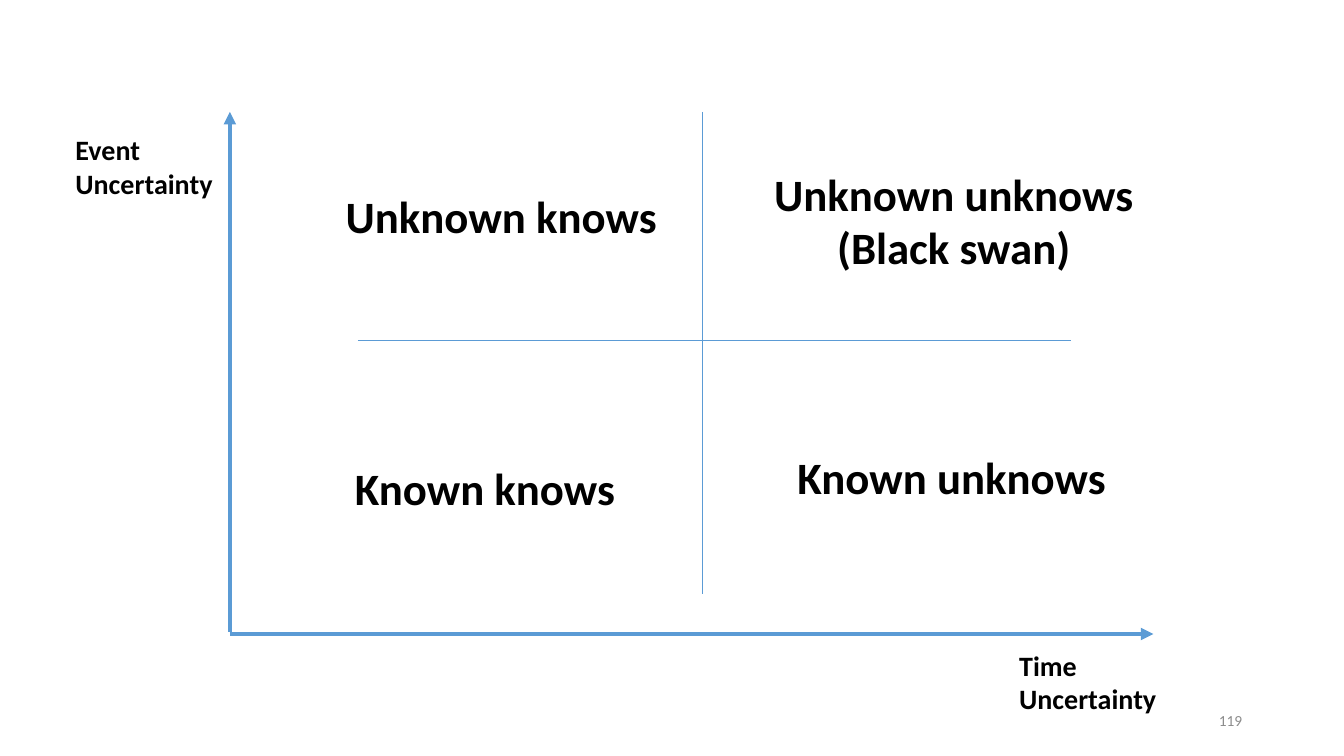
import lxml.etree
import pptx
import pptx.dml.color
import pptx.enum.shapes
import pptx.enum.text
import pptx.oxml.ns
import pptx.util

Inches = pptx.util.Inches
ALIGN = pptx.enum.text.PP_ALIGN
ANCHOR = pptx.enum.text.MSO_ANCHOR
AUTO_SIZE = pptx.enum.text.MSO_AUTO_SIZE

BLUE = pptx.dml.color.RGBColor(0x5B, 0x9B, 0xD5)
BLACK = pptx.dml.color.RGBColor(0, 0, 0)
GREY = pptx.dml.color.RGBColor(0x8C, 0x8C, 0x8C)


def add_text(page, text, left, top, width, height, size, color=BLACK, bold=True,
             aligns=(ALIGN.LEFT,), anchor=ANCHOR.TOP, wrap=False):
    """Each line feed starts a paragraph; a vertical tab breaks the line."""
    box = page.shapes.add_textbox(Inches(left), Inches(top), Inches(width), Inches(height))
    frame = box.text_frame
    frame.word_wrap = wrap
    frame.auto_size = AUTO_SIZE.NONE if wrap else AUTO_SIZE.SHAPE_TO_FIT_TEXT
    frame.vertical_anchor = anchor
    frame.text = text
    for para, align in zip(frame.paragraphs, aligns):
        para.alignment = align
        for span in para.runs:
            span.font.name = "Calibri"
            span.font.size = pptx.util.Pt(size)
            span.font.bold = bold
            span.font.color.rgb = color


def add_line(page, start, end, weight, arrow=False):
    line = page.shapes.add_connector(
        pptx.enum.shapes.MSO_CONNECTOR.STRAIGHT, *map(Inches, start + end))
    line.line.color.rgb = BLUE
    line.line.width = pptx.util.Pt(weight)
    if arrow:
        lxml.etree.SubElement(line.line._get_or_add_ln(),
                              pptx.oxml.ns.qn("a:tailEnd"), type="triangle")
    lxml.etree.SubElement(line._element.spPr, pptx.oxml.ns.qn("a:effectLst"))


def add_axes(page, left, top, width, height):
    bottom = top + height
    add_line(page, (left, bottom), (left + width, bottom), 3, arrow=True)
    add_line(page, (left, bottom - 0.02), (left, top), 3, arrow=True)
    # Axis titles
    add_text(page, "Event\vUncertainty", left - 1.63, top + 0.16, 1.57, 0.77, 20)
    add_text(page, "Time\vUncertainty", left + width - 1.43, bottom + 0.09, 1.57, 0.77, 20)


def add_quadrants(page, left, top, width, height):
    # Dividing lines
    middle_x, middle_y = left + 3.42, top + 2.27
    add_line(page, (left, middle_y), (left + width, middle_y), 0.5)
    add_line(page, (middle_x, top), (middle_x, top + height), 0.5)
    # Quadrant names, placed from the crossing point
    names = [
        ("Known knows", -3.55, 1.14, 2.81, 0.64),
        ("Unknown unknows\n(Black swan)", 0.61, -1.78, 3.8, 1.18),
        ("Known unknows", 0.84, 1.03, 3.29, 0.64),
        ("Unknown knows", -3.64, -1.56, 3.32, 0.64),
    ]
    for name, across, down, name_width, name_height in names:
        add_text(page, name, middle_x + across, middle_y + down, name_width, name_height,
                 32, aligns=(ALIGN.LEFT, ALIGN.CENTER))


def add_page_number(page, left, top, width, height):
    add_text(page, "119", left, top, width, height, 11, color=GREY, bold=False,
             aligns=(ALIGN.RIGHT,), anchor=ANCHOR.MIDDLE, wrap=True)


def main():
    deck = pptx.Presentation()
    deck.slide_width, deck.slide_height = Inches(13.33), Inches(7.5)
    page = deck.slides.add_slide(deck.slide_layouts[6])
    add_page_number(page, 9.42, 6.95, 3, 0.4)
    add_axes(page, 2.28, 1.11, 9.16, 5.18)
    add_quadrants(page, 3.55, 1.11, 7.07, 4.78)
    deck.save("out.pptx")


if __name__ == "__main__":
    main()
